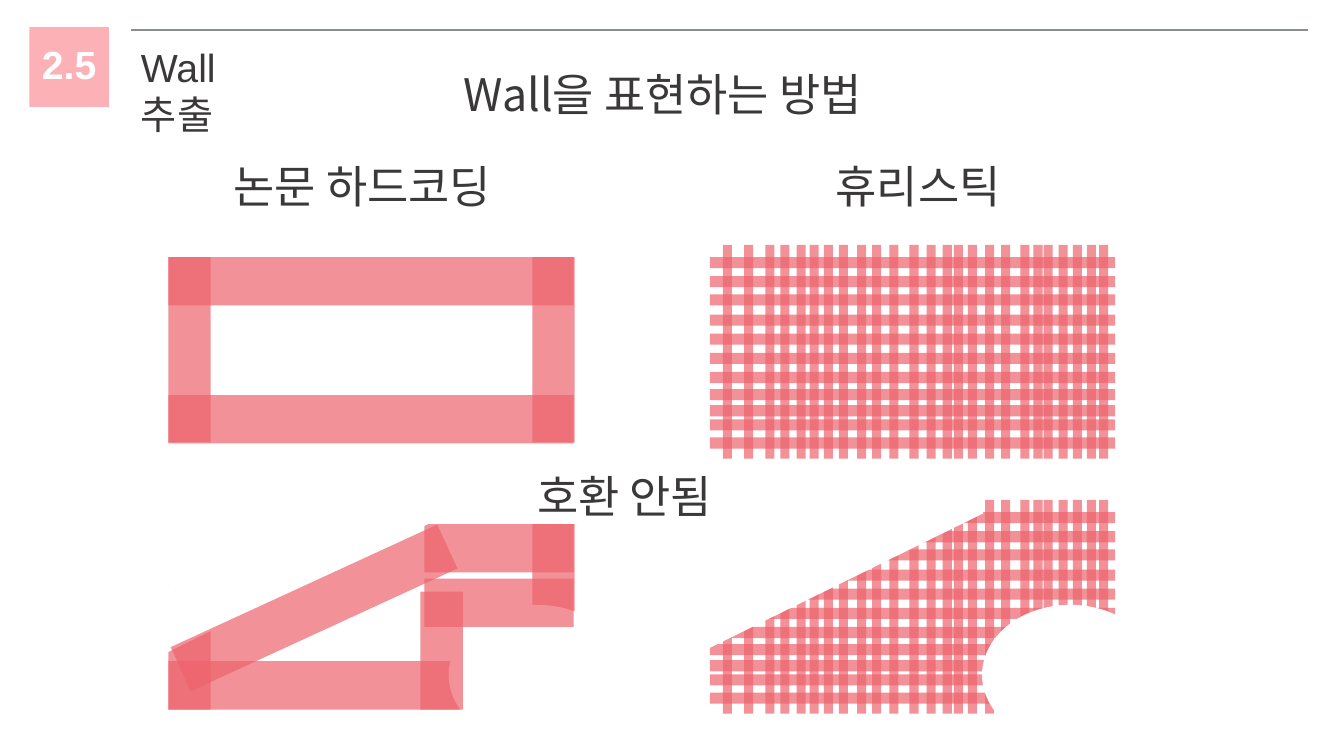
import dataclasses
import typing

import pptx
import pptx.dml.color
import pptx.enum.shapes
import pptx.enum.text
import pptx.oxml.ns
import pptx.util
from lxml import etree

EMU_PER_PX = 9144  # 100 px to the inch
COLOURS = {
    "background": "F2F2F2",
    "white": "FFFFFF",
    "rule": "898F8D",
    "badge": "FCB1B7",
    "wall": "ED636D",
    "text": "3A3838",
}
KOREAN_FONT = "Noto Sans CJK KR"
WALL_OPACITY = 70
RECTANGLE = pptx.enum.shapes.MSO_SHAPE.RECTANGLE
OVAL = pptx.enum.shapes.MSO_SHAPE.OVAL
ALIGN = pptx.enum.text.PP_ALIGN


@dataclasses.dataclass(frozen=True)
class Block:
    left: int
    top: int
    width: int
    height: int
    colour: str = "wall"
    opacity: int = WALL_OPACITY
    rotation: float = 0
    kind: typing.Any = RECTANGLE


@dataclasses.dataclass(frozen=True)
class Label:
    text: str
    left: int
    top: int
    width: int
    height: int = 64
    size: int = 32
    font: str = KOREAN_FONT
    colour: str = "text"
    bold: bool = False
    align: typing.Any = ALIGN.LEFT
    wrap: bool = False
    margin_right: int = 10


def px(length: int) -> int:
    return pptx.util.Emu(length * EMU_PER_PX)


def rgb(name: str) -> pptx.dml.color.RGBColor:
    return pptx.dml.color.RGBColor.from_string(COLOURS[name])


def draw_block(shapes: typing.Any, block: Block) -> None:
    shape = shapes.add_shape(
        block.kind, px(block.left), px(block.top), px(block.width), px(block.height)
    )
    shape.shadow.inherit = False
    shape.rotation = block.rotation
    shape.line.fill.background()
    shape.fill.solid()
    shape.fill.fore_color.rgb = rgb(block.colour)
    if block.opacity < 100:
        colour = shape._element.spPr.find(".//" + pptx.oxml.ns.qn("a:srgbClr"))
        alpha = etree.SubElement(colour, pptx.oxml.ns.qn("a:alpha"))
        alpha.set("val", str(block.opacity * 1000))


def draw_blocks(shapes: typing.Any, blocks: typing.Iterable[Block]) -> None:
    for block in blocks:
        draw_block(shapes, block)


def draw_label(shapes: typing.Any, label: Label) -> None:
    box = shapes.add_textbox(
        px(label.left), px(label.top), px(label.width), px(label.height)
    )
    frame = box.text_frame
    frame_format = {
        "word_wrap": label.wrap,
        "auto_size": pptx.enum.text.MSO_AUTO_SIZE.SHAPE_TO_FIT_TEXT,
        "margin_right": px(label.margin_right),
    }
    for name, value in frame_format.items():
        setattr(frame, name, value)
    paragraph = frame.paragraphs[0]
    paragraph.alignment = label.align
    run = paragraph.add_run()
    run.text = label.text
    run.font.color.rgb = rgb(label.colour)
    font_format = {
        "name": label.font,
        "size": pptx.util.Pt(label.size),
        "bold": label.bold,
    }
    for name, value in font_format.items():
        setattr(run.font, name, value)
    east_asian = etree.SubElement(run.font._element, pptx.oxml.ns.qn("a:ea"))
    east_asian.set("typeface", KOREAN_FONT)


def draw_rule(shapes: typing.Any, left: int, right: int, top: int) -> None:
    rule = shapes.add_connector(
        pptx.enum.shapes.MSO_CONNECTOR.STRAIGHT, px(left), px(top), px(right), px(top)
    )
    rule.line.color.rgb = rgb("rule")
    rule.line.width = pptx.util.Pt(1.5)
    etree.SubElement(rule._element.spPr, pptx.oxml.ns.qn("a:effectLst"))


# Lattice of thin walls: offsets from its left and top edges
LATTICE_LEFT = 704
ROW_OFFSETS = [12, 31, 49, 69, 88, 107, 126, 143, 159, 173, 191]
COLUMN_OFFSETS = [
    13, 34, 55, 70, 86, 99, 113, 128, 146, 161, 178, 198, 215,
    231, 242, 256, 273, 289, 308, 321, 331, 346, 360, 374, 386,
]


def draw_lattice(shapes: typing.Any, top: int) -> None:
    group = shapes.add_group_shape()
    draw_blocks(
        group.shapes,
        [Block(LATTICE_LEFT, top + offset, 402, 11) for offset in ROW_OFFSETS]
        + [Block(LATTICE_LEFT + offset, top, 9, 212) for offset in COLUMN_OFFSETS],
    )


def cutouts(left: int) -> list[Block]:
    """White masks that leave a slanted roof and a round notch."""
    return [
        Block(left + 270, 600, 175, 139, "white", 100, kind=OVAL),
        Block(left - 196, 559, 479, 59, "white", 100, rotation=333.8),
        Block(left - 32, 491, 156, 90, "white", 100),
        Block(left + 13, 484, 156, 56, "white", 100),
    ]


HEADER_LABELS = [
    Label("2.5", 29, 35, 79, 57, 28, "Arial", "white", True, ALIGN.CENTER, True),
    Label("Wall 추출", 130, 38, 185, 57, 28, "Arial", wrap=True, margin_right=70),
]
HEADINGS = [
    Label("논문 하드코딩", 222, 153, 305),
    Label("Wall을 표현하는 방법", 450, 61, 452),
    Label("휴리스틱", 819, 153, 200),
]
RECTANGULAR_ROOM = [
    Block(167, 255, 402, 48),
    Block(167, 255, 42, 184),
    Block(167, 392, 402, 48),
    Block(528, 255, 42, 184),
]
IRREGULAR_ROOM = [
    Block(421, 520, 148, 48),
    Block(167, 520, 42, 184),
    Block(167, 656, 402, 48),
    Block(528, 520, 42, 184),
]
ADDED_WALLS = [
    Block(166, 579, 291, 48, rotation=335.3),
    Block(417, 587, 42, 117),
    Block(421, 574, 148, 48),
]


def main() -> None:
    presentation = pptx.Presentation()
    presentation.slide_width = px(1333)
    presentation.slide_height = px(750)
    slide = presentation.slides.add_slide(presentation.slide_layouts[6])
    slide.background.fill.solid()
    slide.background.fill.fore_color.rgb = rgb("background")
    shapes = slide.shapes

    # Page and header
    draw_block(shapes, Block(0, -5, 1333, 755, "white", 100))
    draw_rule(shapes, 130, 1297, 30)
    draw_block(shapes, Block(29, 27, 79, 79, "badge", 100))
    for label in HEADER_LABELS:
        draw_label(shapes, label)

    # Upper row: rectangular room
    draw_blocks(shapes, RECTANGULAR_ROOM)
    draw_lattice(shapes, 243)
    for label in HEADINGS:
        draw_label(shapes, label)

    # Lower row: irregular room
    draw_lattice(shapes, 496)
    draw_blocks(shapes, cutouts(LATTICE_LEFT))
    draw_label(shapes, Label("호환 안됨", 523, 460, 215))
    draw_blocks(shapes, IRREGULAR_ROOM + cutouts(175) + ADDED_WALLS)

    presentation.save("out.pptx")


if __name__ == "__main__":
    main()
